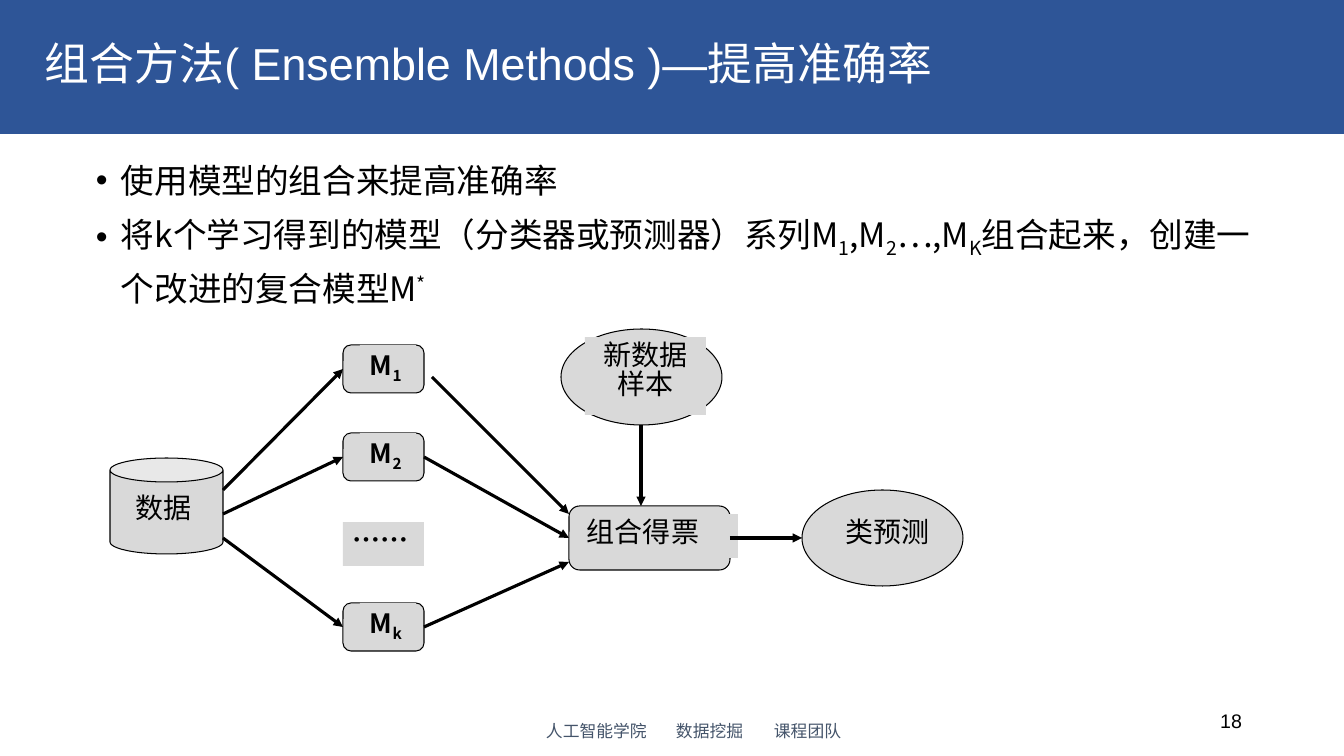
from lxml.etree import SubElement
from pptx import Presentation
from pptx.dml.color import RGBColor
from pptx.enum.shapes import MSO_CONNECTOR, MSO_SHAPE
from pptx.enum.text import MSO_ANCHOR, PP_ALIGN
from pptx.oxml.ns import qn
from pptx.util import Pt

PX = 914400 / 100.8
BLUE = RGBColor(0x2E, 0x55, 0x97)
GREY = RGBColor(0xD9, 0xD9, 0xD9)
SLATE = RGBColor(0x44, 0x54, 0x6A)
BLACK = RGBColor(0, 0, 0)
WHITE = RGBColor(255, 255, 255)
NOTO = "Noto Sans CJK SC"

# A paragraph is a list of (text, baseline shift in percent).
TITLE = [[("组合方法( Ensemble Methods )—提高准确率", 0)]]
BODY = [
    [("使用模型的组合来提高准确率", 0)],
    [("将k个学习得到的模型（分类器或预测器）系列M", 0), ("1", -25),
     (",M", 0), ("2", -25), ("…,M", 0), ("K", -25),
     ("组合起来，创建一个改进的复合模型M", 0), ("*", 30)],
]
FOOTER = [[("人工智能学院\t数据挖掘\t课程团队", 0)]]
FOOTER_TABS = [130, 228]
PAGE = [[("18", 0)]]

# name: preset, box
NODES = {
    "data": (MSO_SHAPE.CAN, (110, 458, 113, 96)),
    "sample": (MSO_SHAPE.OVAL, (561, 329, 161, 96)),
    "vote": (MSO_SHAPE.ROUNDED_RECTANGLE, (569, 506, 161, 64)),
    "class": (MSO_SHAPE.OVAL, (802, 490, 161, 96)),
}
MODELS = {"1": 345, "2": 433, "k": 603}  # subscript: top
MODEL_X, MODEL_W, MODEL_H = 343, 81, 48

# text, box, alignment, bold
LABELS = [
    ("数据", (126, 490, 89, 44), PP_ALIGN.LEFT, False),
    ("新数据样本", (585, 337, 121, 78), PP_ALIGN.CENTER, False),
    ("组合得票", (577, 514, 161, 44), PP_ALIGN.LEFT, False),
    ("类预测", (827, 514, 121, 44), PP_ALIGN.CENTER, False),
    ("……", (MODEL_X, 522, MODEL_W, 44), PP_ALIGN.LEFT, True),
]

# An end is a point, or a node with the number of its side.
ARROWS = [
    ((223, 490), ("1", 1)),
    ((223, 514), ("2", 1)),
    ((223, 538), ("k", 1)),
    ((641, 425), (641, 506)),
    ((432, 377), (569, 514)),
    (("2", 3), ("vote", 1)),
    (("k", 3), (569, 562)),
    (("vote", 3), (802, 538)),
]


def emu(px):
    return round(px * PX)


def add_text(frame, paras, size, color=BLACK, font=NOTO, bold=False,
             align=PP_ALIGN.LEFT, anchor=MSO_ANCHOR.TOP, lead=1.0,
             gap=0, bullet=False, tabs=()):
    frame.word_wrap = True
    frame.vertical_anchor = anchor
    for n, runs in enumerate(paras):
        para = frame.add_paragraph() if n else frame.paragraphs[0]
        para.alignment = align
        para.line_spacing = lead
        para.space_before = Pt(gap if n else 0)
        props = para._p.get_or_add_pPr()
        if bullet:
            props.set("marL", str(emu(76)))
            props.set("indent", str(emu(-25)))
            SubElement(props, qn("a:buFont"), typeface="Arial")
            SubElement(props, qn("a:buChar"), char="•")
        if tabs:
            stops = SubElement(props, qn("a:tabLst"))
            for stop in tabs:
                SubElement(stops, qn("a:tab"), pos=str(emu(stop)), algn="l")
        for text, shift in runs:
            run = para.add_run()
            run.text = text
            run.font.size = Pt(size)
            run.font.bold = bold
            run.font.color.rgb = color
            run.font.name = font
            mark = run._r.get_or_add_rPr()
            SubElement(mark, qn("a:ea"), typeface=NOTO)
            if shift:
                mark.set("baseline", str(shift * 1000))


def add_box(slide, box, **form):
    frame = slide.shapes.add_textbox(*map(emu, box)).text_frame
    add_text(frame, **form)
    return frame


def add_node(slide, kind, box, fill=GREY, line=None):
    shape = slide.shapes.add_shape(kind, *map(emu, box))
    shape.shadow.inherit = False
    shape.fill.solid()
    shape.fill.fore_color.rgb = fill
    if line is None:
        shape.line.fill.background()
    else:
        shape.line.color.rgb = line
        shape.line.width = Pt(0.75)
    return shape


def add_label(slide, runs, box, **form):
    shape = add_node(slide, MSO_SHAPE.RECTANGLE, box)
    add_text(shape.text_frame, [runs], lead=0.87, **form)


def add_arrow(slide, start, end, nodes):
    joins = [isinstance(spot[0], str) for spot in (start, end)]
    spots = [(0, 0) if join else spot
             for join, spot in zip(joins, (start, end))]
    line = slide.shapes.add_connector(
        MSO_CONNECTOR.STRAIGHT, *map(emu, spots[0] + spots[1]))
    if joins[0]:
        line.begin_connect(nodes[start[0]], start[1])
    if joins[1]:
        line.end_connect(nodes[end[0]], end[1])
    line.line.color.rgb = BLACK
    line.line.width = Pt(2.25)
    SubElement(line.line._get_or_add_ln(), qn("a:tailEnd"), type="triangle")
    SubElement(line._element.spPr, qn("a:effectLst"))


def main():
    deck = Presentation()
    deck.slide_width, deck.slide_height = emu(1344), emu(756)
    slide = deck.slides.add_slide(deck.slide_layouts[6])

    add_node(slide, MSO_SHAPE.RECTANGLE, (0, 0, 1344, 134), fill=BLUE)
    add_box(slide, (35, 15, 1142, 101), paras=TITLE, size=32, color=WHITE,
            font="Arial", anchor=MSO_ANCHOR.MIDDLE, lead=0.9)
    add_box(slide, (35, 147, 1256, 528), paras=BODY, size=24, lead=1.2,
            gap=3, bullet=True)

    nodes = {name: add_node(slide, kind, box, line=BLACK)
             for name, (kind, box) in NODES.items()}
    for sub, top in MODELS.items():
        nodes[sub] = add_node(slide, MSO_SHAPE.ROUNDED_RECTANGLE,
                              (MODEL_X, top, MODEL_W, MODEL_H), line=BLACK)
        add_label(slide, [("M", 0), (sub, -25)],
                  (MODEL_X + 17, top, 56, 42), size=19, bold=True)
    for text, box, align, bold in LABELS:
        add_label(slide, [(text, 0)], box, size=20, align=align, bold=bold)
    for start, end in ARROWS:
        add_arrow(slide, start, end, nodes)

    foot = add_box(slide, (467, 711, 454, 40), paras=FOOTER, size=12,
                   color=SLATE, font="Calibri", anchor=MSO_ANCHOR.MIDDLE,
                   tabs=FOOTER_TABS)
    foot.margin_left = emu(79)
    add_box(slide, (950, 701, 302, 40), paras=PAGE, size=14, font="Arial",
            align=PP_ALIGN.RIGHT, anchor=MSO_ANCHOR.MIDDLE)
    deck.save("out.pptx")


if __name__ == "__main__":
    main()
